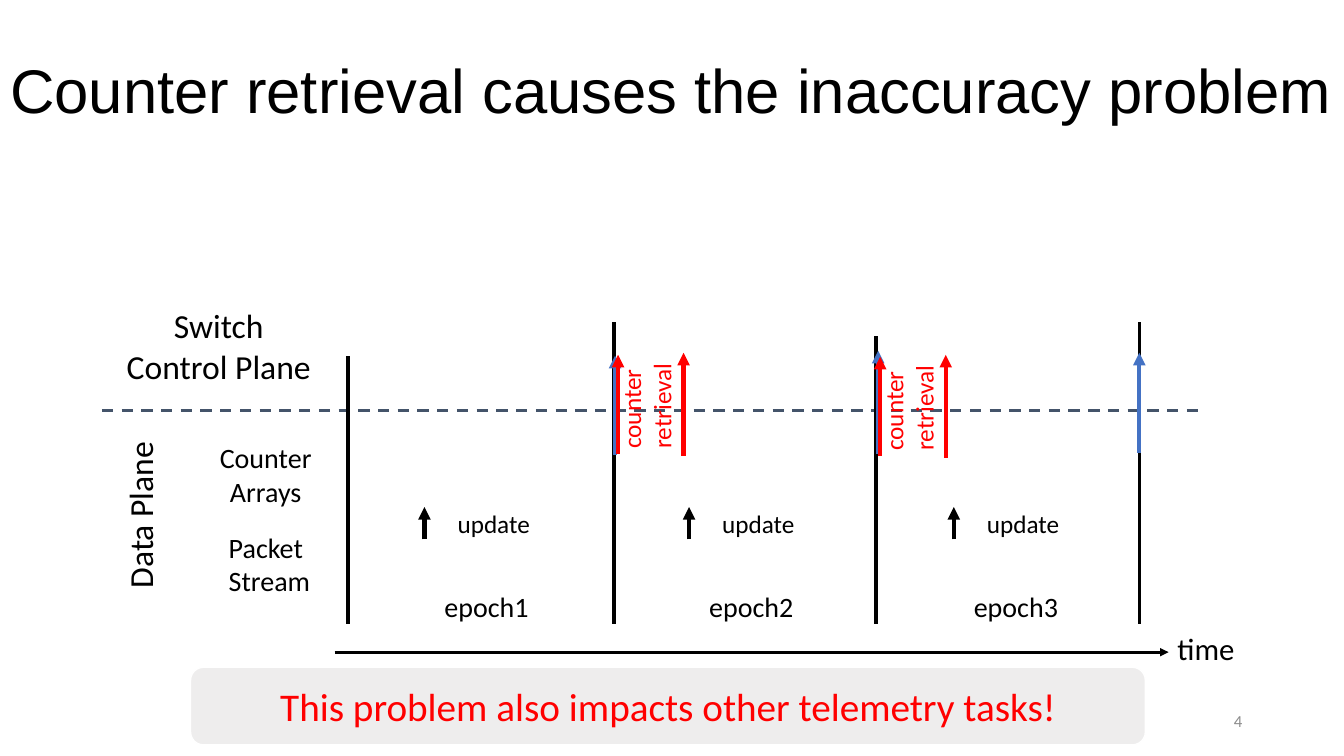
import pptx
import pptx.dml.color
import pptx.enum.dml
import pptx.enum.shapes
import pptx.enum.text
import pptx.oxml
import pptx.oxml.ns
import pptx.util
from pptx.util import Inches

ALIGN = pptx.enum.text.PP_ALIGN
ANCHOR = pptx.enum.text.MSO_ANCHOR
BLACK, RED, BLUE, SLATE = "000000", "FF0000", "4472C4", "44546A"


def rgb(value):
    return pptx.dml.color.RGBColor.from_string(value)


def add_child(parent, tag, **attributes):
    child = pptx.oxml.parse_xml(f"<a:{tag} {pptx.oxml.ns.nsdecls('a')}/>")
    for key, value in attributes.items():
        child.set(key, value)
    parent.append(child)


def write(frame, text, size, color, align=ALIGN.LEFT, anchor=ANCHOR.TOP, font="Calibri"):
    frame.text = text
    frame.word_wrap = True
    frame.vertical_anchor = anchor
    for paragraph in frame.paragraphs:
        paragraph.alignment = align
        for run in paragraph.runs:
            run.font.size = pptx.util.Pt(size)
            run.font.name = font
            run.font.color.rgb = rgb(color)


def add_label(slide, text, left, top, width, height, size, color=BLACK,
              align=ALIGN.LEFT, anchor=ANCHOR.TOP, rotation=0):
    label = slide.shapes.add_textbox(Inches(left), Inches(top), Inches(width), Inches(height))
    label.rotation = rotation
    write(label.text_frame, text, size, color, align, anchor)


def add_line(slide, x1, y1, x2, y2, color, width, arrow=False, dashed=False):
    line = slide.shapes.add_connector(
        pptx.enum.shapes.MSO_CONNECTOR.STRAIGHT,
        Inches(x1), Inches(y1), Inches(x2), Inches(y2))
    line.line.color.rgb = rgb(color)
    line.line.width = pptx.util.Pt(width)
    if dashed:
        line.line.dash_style = pptx.enum.dml.MSO_LINE.DASH
    if arrow:
        add_child(line.line._get_or_add_ln(), "tailEnd", type="triangle")
    add_child(line._element.spPr, "effectLst")


def add_up_arrow(slide, x, bottom, length, color):
    add_line(slide, x, bottom, x, bottom - length, color, 3, arrow=True)


def add_epoch(slide, number):
    left = 4.21 + 2.625 * (number - 1)
    add_label(slide, f"epoch{number}", left + 0.1, 5.8, 1.07, 0.44, 20)
    add_up_arrow(slide, left, 5.35, 0.32, BLACK)
    add_label(slide, "update", left + 0.23, 4.99, 1.07, 0.4, 18)


def add_retrieval(slide, boundary, bottom):
    add_up_arrow(slide, boundary + 0.69, bottom + 0.02, 1.02, RED)
    add_label(slide, "counter\nretrieval", boundary - 0.24, bottom - 0.87,
              1.13, 0.71, 18, RED, rotation=270)
    add_up_arrow(slide, boundary + 0.04, bottom, 0.98, RED)


def add_banner(slide, text):
    banner = slide.shapes.add_shape(
        pptx.enum.shapes.MSO_SHAPE.ROUNDED_RECTANGLE,
        Inches(1.89), Inches(6.62), Inches(9.47), Inches(0.77))
    banner.shadow.inherit = False
    banner.fill.solid()
    banner.fill.fore_color.rgb = rgb("E7E6E6")
    fill_color = banner._element.spPr.find(".//" + pptx.oxml.ns.qn("a:srgbClr"))
    add_child(fill_color, "alpha", val="70000")
    banner.line.color.rgb = rgb("FFFFFF")
    banner.line.width = pptx.util.Pt(1)
    write(banner.text_frame, text, 28, RED, ALIGN.CENTER, ANCHOR.MIDDLE)


def set_title(slide, text):
    title = slide.shapes.title
    title.left, title.top = Inches(0), Inches(0.2)
    title.width, title.height = Inches(13.33), Inches(1.45)
    write(title.text_frame, text, 44, BLACK, anchor=ANCHOR.MIDDLE, font="Arial")
    title.text_frame.auto_size = pptx.enum.text.MSO_AUTO_SIZE.NONE
    title.text_frame.paragraphs[0].line_spacing = 0.9


def main():
    deck = pptx.Presentation()
    deck.slide_width, deck.slide_height = Inches(13.33), Inches(7.5)
    slide = deck.slides.add_slide(deck.slide_layouts[5])
    set_title(slide, "Counter retrieval causes the inaccuracy problem")
    add_label(slide, "4", 9.42, 6.95, 3, 0.4, 12, "8C8C8C", ALIGN.RIGHT, ANCHOR.MIDDLE)

    add_line(slide, 3.32, 6.47, 11.59, 6.47, BLACK, 2, arrow=True)
    add_label(slide, "time", 11.58, 6.2, 1.07, 0.47, 22)
    add_line(slide, 1.01, 4.07, 11.92, 4.07, SLATE, 2, dashed=True)

    add_label(slide, "Counter\nArrays", 1.36, 4.32, 2.55, 0.77, 20, align=ALIGN.CENTER)
    add_label(slide, "Packet\nStream", 2.17, 5.21, 1.14, 0.77, 20)
    add_label(slide, "Data Plane", 0.43, 4.86, 1.91, 0.5, 24, align=ALIGN.CENTER, rotation=270)
    add_label(slide, "Switch\nControl Plane", 1.09, 2.98, 2.16, 0.91, 24, align=ALIGN.CENTER)

    for boundary, top in ((3.45, 3.53), (6.09, 3.19), (8.69, 3.33), (11.3, 3.19)):
        add_line(slide, boundary, 6.19, boundary, top, BLACK, 2.5)
    for number in (1, 2, 3):
        add_epoch(slide, number)
    add_banner(slide, "This problem also impacts other telemetry tasks!")

    for x, bottom, length in ((6.1, 4.51, 0.98), (8.71, 4.5, 1.02), (11.3, 4.49, 0.99)):
        add_up_arrow(slide, x, bottom, length, BLUE)
    for boundary, bottom in ((6.09, 4.5), (8.69, 4.52)):
        add_retrieval(slide, boundary, bottom)

    deck.save("out.pptx")


if __name__ == "__main__":
    main()
